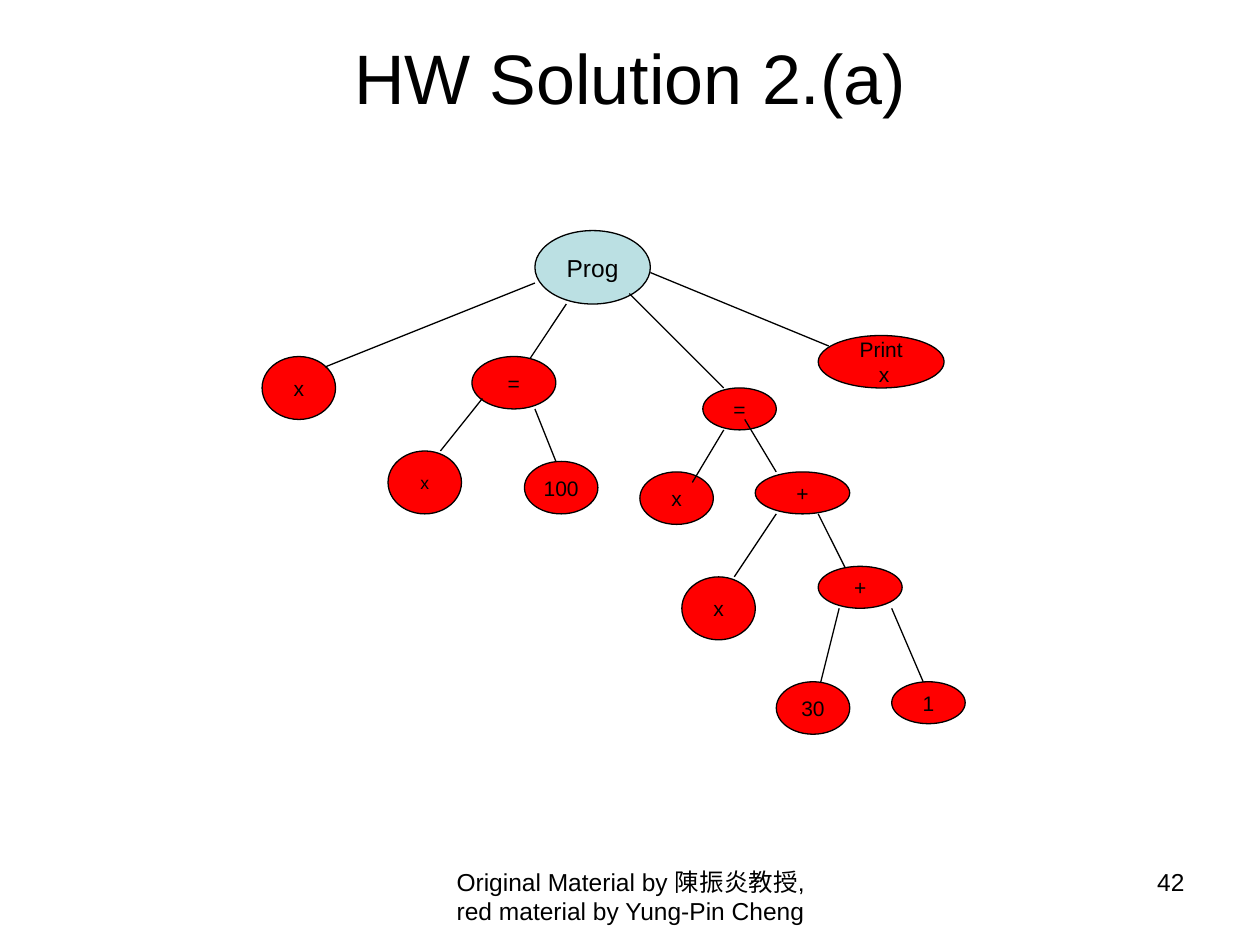
import pptx
import pptx.dml.color
import pptx.enum.shapes
import pptx.enum.text
import pptx.oxml
import pptx.util
from pptx.util import Inches

ALIGN = pptx.enum.text.PP_ALIGN
ANCHOR = pptx.enum.text.MSO_ANCHOR
BLACK = "000000"
RED = "FF0000"
PALE_BLUE = "BBE0E3"

TREE_COLUMNS = 67
NODES = [
    ("Prog", 26, 0, 11, 7, PALE_BLUE, 14),
    ("x", 0, 12, 7, 6, RED, 12),
    ("=", 20, 12, 8, 5, RED, 12),
    ("=", 42, 15, 7, 4, RED, 12),
    ("Print\n x", 53, 10, 12, 5, RED, 12),
    ("x", 12, 21, 7, 6, RED, 10),
    ("100", 25, 22, 7, 5, RED, 12),
    ("x", 36, 23, 7, 5, RED, 12),
    ("+", 47, 23, 9, 4, RED, 12),
    ("x", 40, 33, 7, 6, RED, 12),
    ("+", 53, 32, 8, 4, RED, 12),
    ("30", 49, 43, 7, 5, RED, 12),
    ("1", 60, 43, 7, 4, RED, 12),
]
EDGES_BEHIND = [
    (29, 7, 25, 13),
    (53, 27, 56, 33),
    (55, 36, 53, 44),
]
EDGES_IN_FRONT = [
    (26, 5, 6, 13),
    (35, 6, 44, 15),
    (37, 4, 54, 11),
    (21, 16, 17, 21),
    (26, 17, 28, 22),
    (44, 19, 41, 24),
    (46, 18, 49, 23),
    (49, 27, 45, 33),
    (60, 36, 63, 43),
]


def color(value):
    return pptx.dml.color.RGBColor.from_string(value)


def write_text(shape, text, size, alignment, anchor, wrap=True):
    frame = shape.text_frame
    frame.text = text
    frame.word_wrap = wrap
    frame.auto_size = pptx.enum.text.MSO_AUTO_SIZE.NONE
    frame.vertical_anchor = anchor
    for paragraph in frame.paragraphs:
        paragraph.alignment = alignment
        paragraph.font.name = "Arial"
        paragraph.font.size = pptx.util.Pt(size)
        paragraph.font.color.rgb = color(BLACK)


def set_outline(shape):
    shape.line.color.rgb = color(BLACK)
    shape.line.width = pptx.util.Pt(0.75)


def add_title(slide, text, left, top, width, height):
    title = slide.shapes.title
    title.left, title.top = left, top
    title.width, title.height = width, height
    write_text(title, text, 40, ALIGN.CENTER, ANCHOR.MIDDLE)


def add_edges(slide, edges, left, top, unit):
    for start_x, start_y, end_x, end_y in edges:
        connector = slide.shapes.add_connector(
            pptx.enum.shapes.MSO_CONNECTOR.STRAIGHT,
            left + start_x * unit, top + start_y * unit,
            left + end_x * unit, top + end_y * unit)
        set_outline(connector)
        properties = connector._element.spPr
        properties.append(pptx.oxml.parse_xml(
            '<a:effectLst xmlns:a="http://schemas.openxmlformats.org/drawingml/2006/main"/>'))


def add_nodes(slide, nodes, left, top, unit):
    for text, column, row, columns, rows, fill, size in nodes:
        node = slide.shapes.add_shape(
            pptx.enum.shapes.MSO_SHAPE.OVAL,
            left + column * unit, top + row * unit, columns * unit, rows * unit)
        node.shadow.inherit = False
        node.fill.solid()
        node.fill.fore_color.rgb = color(fill)
        set_outline(node)
        write_text(node, text, size, ALIGN.CENTER, ANCHOR.MIDDLE, wrap=False)


def add_syntax_tree(slide, left, top, width):
    unit = width // TREE_COLUMNS
    add_edges(slide, EDGES_BEHIND, left, top, unit)
    add_nodes(slide, NODES, left, top, unit)
    add_edges(slide, EDGES_IN_FRONT, left, top, unit)


def add_footer_text(slide, text, alignment, left, top, width, height):
    box = slide.shapes.add_textbox(left, top, width, height)
    write_text(box, text, 14, alignment, ANCHOR.TOP)


def main():
    presentation = pptx.Presentation()
    presentation.slide_width = Inches(10)
    presentation.slide_height = Inches(7.5)
    slide = presentation.slides.add_slide(
        presentation.slide_layouts.get_by_name("Title Only"))
    add_title(slide, "HW Solution 2.(a)",
              Inches(0.5), Inches(0.3), Inches(9), Inches(0.62))
    add_syntax_tree(slide, Inches(2.08), Inches(1.83), Inches(5.58))
    add_footer_text(slide, "Original Material by 陳振炎教授, red material by Yung-Pin Cheng",
                    ALIGN.CENTER, Inches(3.42), Inches(6.83), Inches(3.17), Inches(0.52))
    add_footer_text(slide, "42", ALIGN.RIGHT,
                    Inches(7.17), Inches(6.83), Inches(2.33), Inches(0.52))
    presentation.save("out.pptx")


if __name__ == "__main__":
    main()
